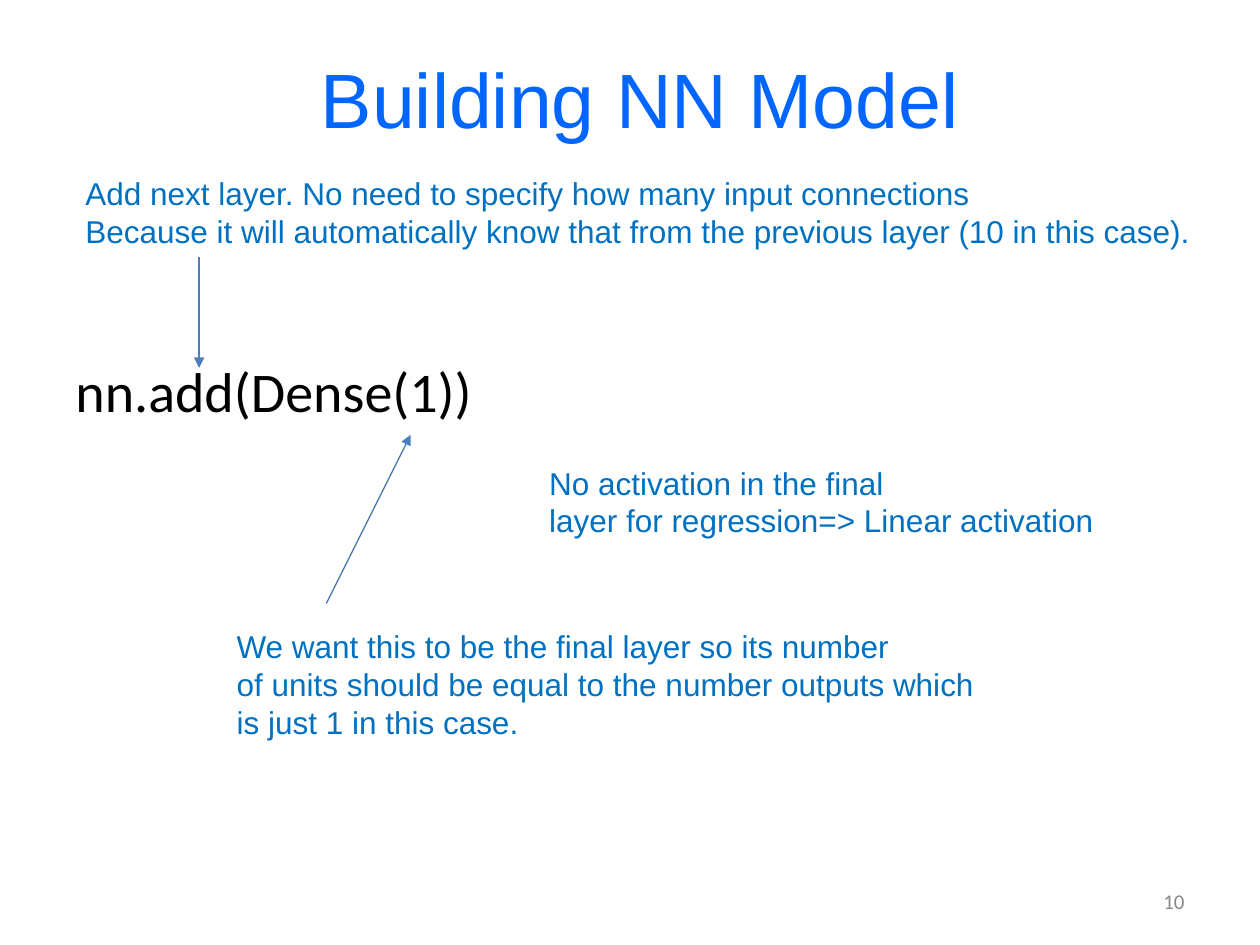
from lxml.etree import SubElement
from pptx import Presentation
from pptx.dml.color import RGBColor
from pptx.enum.shapes import MSO_CONNECTOR as Connector
from pptx.enum.text import MSO_ANCHOR as Anchor, PP_ALIGN as Align
from pptx.oxml.ns import qn
from pptx.util import Inches, Pt

COLUMNS, ROWS = 100, 75
WIDTH, HEIGHT = Inches(10), Inches(7.5)
NOTE_COLOR = "0070C0"
ARROW_COLOR = "4B7EBC"


def column(count):
    return round(WIDTH * count / COLUMNS)


def row(count):
    return round(HEIGHT * count / ROWS)


def color(hex_code):
    return RGBColor.from_string(hex_code)


def add_text(slide, box, lines, size, hex_code, font="Arial",
             align=Align.LEFT, anchor=Anchor.TOP, wrap=True):
    left, top, width, height = box
    shape = slide.shapes.add_textbox(column(left), row(top), column(width), row(height))
    frame = shape.text_frame
    frame.word_wrap = wrap
    frame.vertical_anchor = anchor
    frame.text = "\n".join(lines)
    for paragraph in frame.paragraphs:
        paragraph.alignment = align
        paragraph.font.name = font
        paragraph.font.size = Pt(size)
        paragraph.font.color.rgb = color(hex_code)


def add_note(slide, box, *lines):
    add_text(slide, box, lines, 18, NOTE_COLOR, wrap=False)


def add_arrow(slide, start, end):
    connector = slide.shapes.add_connector(
        Connector.STRAIGHT, column(start[0]), row(start[1]), column(end[0]), row(end[1]))
    connector.line.color.rgb = color(ARROW_COLOR)
    connector.line.width = Pt(0.75)
    properties = connector._element.spPr
    SubElement(properties.find(qn("a:ln")), qn("a:tailEnd"), type="triangle")
    SubElement(properties, qn("a:effectLst"))


def main():
    presentation = Presentation()
    presentation.slide_width, presentation.slide_height = WIDTH, HEIGHT
    slide = presentation.slides.add_slide(presentation.slide_layouts[6])

    add_text(slide, (5.8, 1.5, 90, 12.5), ["Building NN Model"], 44, "0066FF",
             align=Align.CENTER, anchor=Anchor.MIDDLE)
    add_text(slide, (5, 27.8, 90, 6.4), ["nn.add(Dense(1))"], 32, "000000", font="Calibri")
    add_text(slide, (71.7, 69.5, 23.3, 4), ["10"], 12, "898989", font="Calibri",
             align=Align.RIGHT, anchor=Anchor.MIDDLE)

    add_arrow(slide, (15.8, 20.4), (15.8, 29.2))
    add_note(slide, (5.8, 13.3, 90.7, 7.1),
             "Add next layer. No need to specify how many input connections",
             "Because it will automatically know that from the previous layer (10 in this case).")
    add_arrow(slide, (25.9, 47.9), (32.6, 34.5))
    add_note(slide, (17.8, 49.3, 61.6, 10.1),
             "We want this to be the final layer so its number",
             "of units should be equal to the number outputs which",
             "is just 1 in this case.")
    add_note(slide, (42.6, 36.3, 46.3, 7.1),
             "No activation in the final",
             "layer for regression=> Linear activation")

    presentation.save("out.pptx")


if __name__ == "__main__":
    main()
